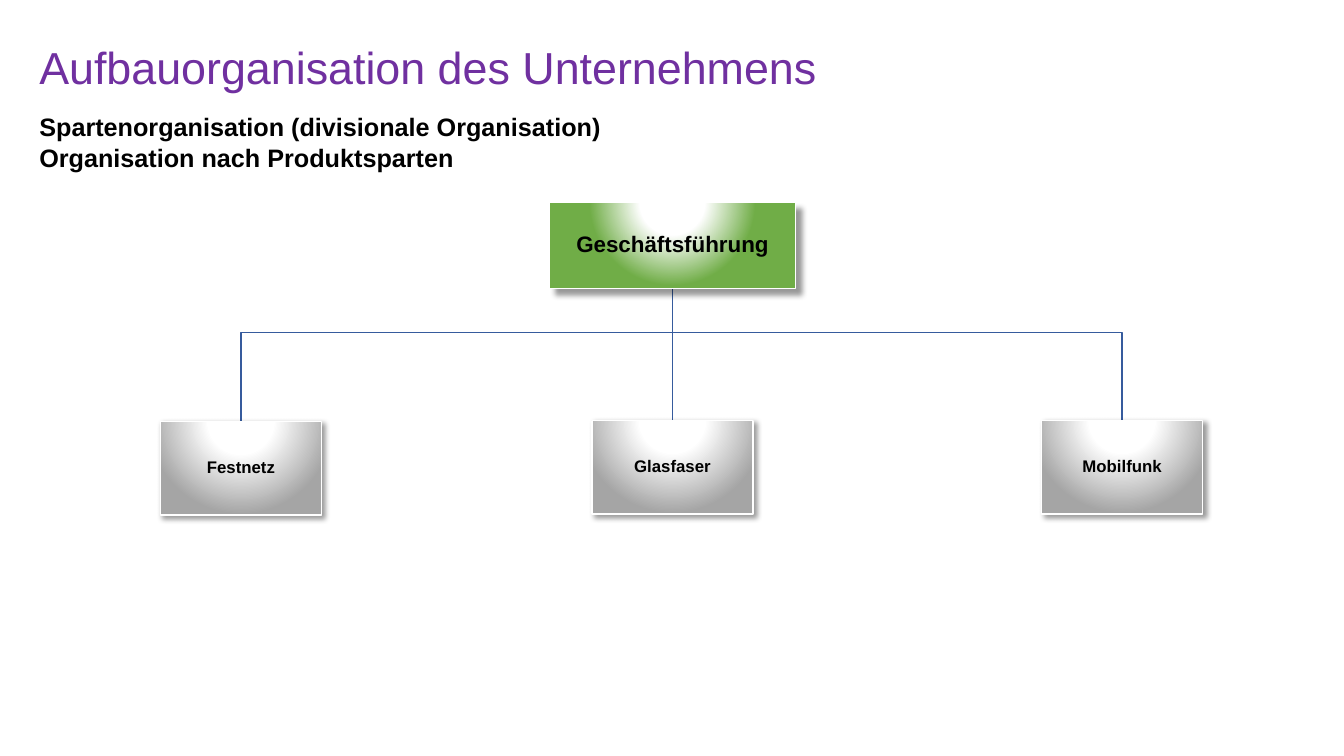
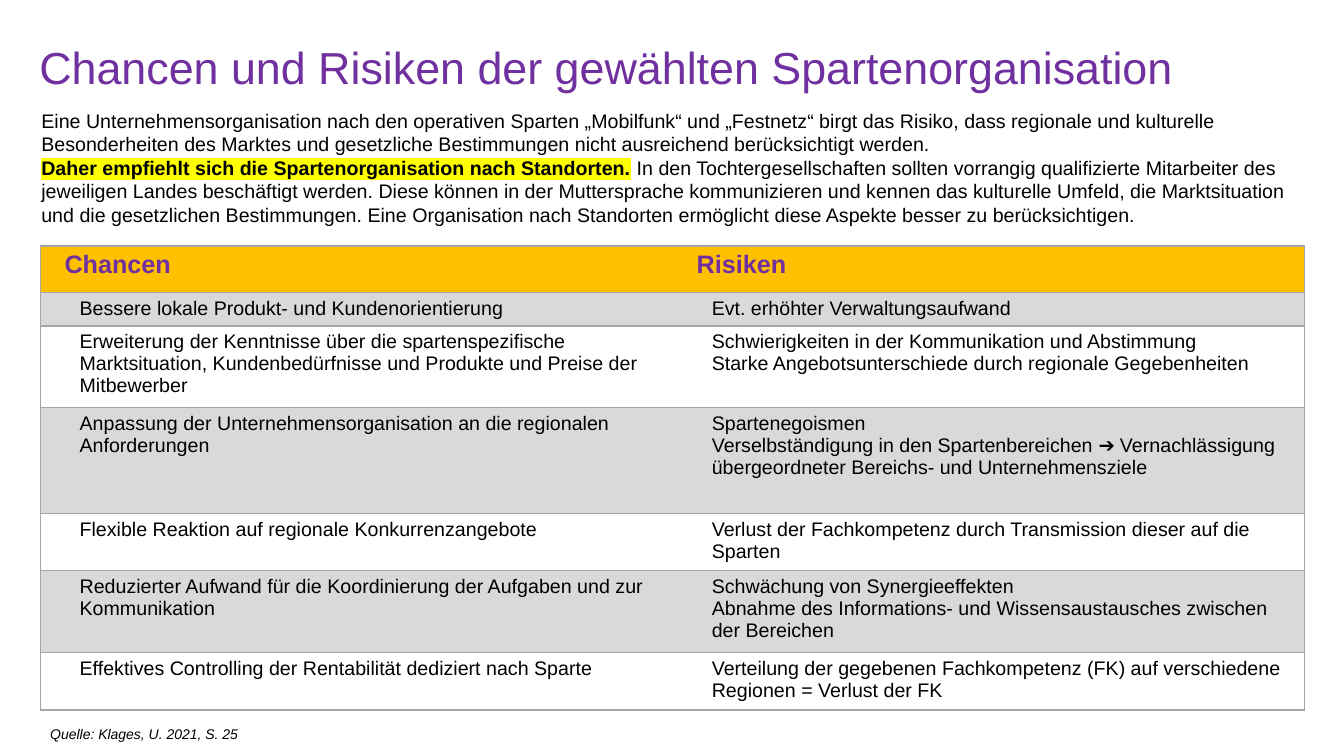
from dataclasses import dataclass

from lxml import etree
from pptx import Presentation
from pptx.dml.color import RGBColor
from pptx.enum.shapes import MSO_CONNECTOR, MSO_SHAPE
from pptx.enum.text import MSO_ANCHOR, PP_ALIGN
from pptx.oxml import parse_xml
from pptx.oxml.ns import nsdecls, qn
from pptx.util import Inches, Pt

STRAIGHT = MSO_CONNECTOR.STRAIGHT
RECTANGLE = MSO_SHAPE.RECTANGLE
TOP, MIDDLE = MSO_ANCHOR.TOP, MSO_ANCHOR.MIDDLE
LEFT, CENTER = PP_ALIGN.LEFT, PP_ALIGN.CENTER


@dataclass(frozen=True)
class Theme:
    """Colours, type sizes and insets shared by the slides."""
    font: str = "Arial"
    title: str = "7030A0"
    text: str = "000000"
    white: str = "FFFFFF"
    line: str = "365B9D"
    head: str = "70AD47"
    division: str = "A5A5A5"
    border: str = "A5A5A5"
    table_head: str = "FFC000"
    band: str = "D9D9D9"
    marker: str = "FFFF00"
    title_size: int = 32
    heading_size: int = 18
    head_size: int = 16
    body_size: int = 14
    division_size: int = 12
    source_size: int = 10
    line_width: int = 1
    page_insets: tuple = (0.39, 0.05, 0.1, 0.05)
    plain_insets: tuple = (0.1, 0.05, 0.1, 0.05)
    header_insets: tuple = (0.24, 0.05, 0.1, 0.05)
    box_insets: tuple = (0.01, 0.01, 0.01, 0.01)


THEME = Theme()

HEAD_STYLE = {"colour": THEME.head, "stops": (25, 64), "distance": 6,
              "size": THEME.head_size}
DIVISION_STYLE = {"colour": THEME.division, "stops": (35, 100), "distance": 3,
                  "size": THEME.division_size}

HEAD_BOX = (5.45, 2.01, 2.44, 0.85)
DIVISION_SIZE = (1.6, 0.93)
BRANCH_Y = 3.3
DIVISIONS = (("Mobilfunk", 10.33, 4.17), ("Glasfaser", 5.87, 4.17),
             ("Festnetz", 1.59, 4.18))

INTRODUCTION = (
    "Eine Unternehmensorganisation nach den operativen Sparten „Mobilfunk“ und "
    "„Festnetz“ birgt das Risiko, dass regionale und kulturelle Besonderheiten "
    "des Marktes und gesetzliche Bestimmungen nicht ausreichend "
    "berücksichtigt werden.")
ADVICE = "Daher empfiehlt sich die Spartenorganisation nach Standorten."
REASONS = (
    " In den Tochtergesellschaften sollten vorrangig qualifizierte Mitarbeiter "
    "des jeweiligen Landes beschäftigt werden. Diese können in der "
    "Muttersprache kommunizieren und kennen das kulturelle Umfeld, die "
    "Marktsituation und die gesetzlichen Bestimmungen. Eine Organisation nach "
    "Standorten ermöglicht diese Aspekte besser zu berücksichtigen.")

# Each row: height, then the paragraphs of the two cells.
TABLE_ROWS = (
    (0.46, ["Chancen"], ["Risiken"]),
    (0.33, ["Bessere lokale Produkt- und Kundenorientierung"],
     ["Evt. erhöhter Verwaltungsaufwand"]),
    (0.81, ["Erweiterung der Kenntnisse über die spartenspezifische "
            "Marktsituation, Kundenbedürfnisse und Produkte und Preise der "
            "Mitbewerber"],
     ["Schwierigkeiten in der Kommunikation und Abstimmung",
      "Starke Angebotsunterschiede durch regionale Gegebenheiten"]),
    (1.05, ["Anpassung der Unternehmensorganisation an die regionalen "
            "Anforderungen"],
     ["Spartenegoismen",
      "Verselbständigung in den Spartenbereichen ➔ Vernachlässigung "
      "übergeordneter Bereichs- und Unternehmensziele"]),
    (0.57, ["Flexible Reaktion auf regionale Konkurrenzangebote"],
     ["Verlust der Fachkompetenz durch Transmission dieser auf die Sparten"]),
    (0.81, ["Reduzierter Aufwand für die Koordinierung der Aufgaben und zur "
            "Kommunikation"],
     ["Schwächung von Synergieeffekten",
      "Abnahme des Informations- und Wissensaustausches zwischen der Bereichen"]),
    (0.57, ["Effektives Controlling der Rentabilität dediziert nach Sparte"],
     ["Verteilung der gegebenen Fachkompetenz (FK) auf verschiedene Regionen "
      "= Verlust der FK"]),
)


def rgb(colour):
    """Turn a hex string into a colour."""
    return RGBColor.from_string(colour)


def set_values(target, values):
    """Set each attribute named in a dict of format values."""
    for name, value in values.items():
        setattr(target, name, value)


def set_insets(target, insets):
    """Set the four margins of a text frame or table cell."""
    sides = ("margin_left", "margin_top", "margin_right", "margin_bottom")
    set_values(target, dict(zip(sides, map(Inches, insets))))


def add_span(para, text, size, colour=THEME.text, marker=None, **font_values):
    """Add a run of text, highlighted if a marker colour is given."""
    span = para.add_run()
    span.text = text
    set_values(span.font, {"name": THEME.font, "size": Pt(size), **font_values})
    span.font.color.rgb = rgb(colour)
    if marker:
        highlight = parse_xml(f'<a:highlight {nsdecls("a")}>'
                              f'<a:srgbClr val="{marker}"/></a:highlight>')
        span.font.fill._xPr.find(qn("a:solidFill")).addnext(highlight)


def fill_text(frame, paragraphs, size, align=LEFT, spacing=1.0, **font_values):
    """Write paragraphs, each a string or a list of (text, format) spans."""
    for index, content in enumerate(paragraphs):
        para = frame.paragraphs[0] if index == 0 else frame.add_paragraph()
        set_values(para, {"alignment": align, "line_spacing": spacing})
        spans = [(content, {})] if isinstance(content, str) else content
        for text, extra in spans:
            add_span(para, text, size, **{**font_values, **extra})


def add_text(page, bounds, paragraphs, size, insets=THEME.page_insets,
             anchor=TOP, **text_values):
    """Add a wrapping text box."""
    frame = page.shapes.add_textbox(*map(Inches, bounds)).text_frame
    set_values(frame, {"word_wrap": True, "vertical_anchor": anchor})
    set_insets(frame, insets)
    fill_text(frame, paragraphs, size, **text_values)


def add_page(deck, title):
    """Add a blank slide with the shared title style."""
    page = deck.slides.add_slide(deck.slide_layouts[6])
    add_text(page, (0, 0.4, 12.94, 0.59), [title], THEME.title_size,
             anchor=MIDDLE, spacing=0.9, colour=THEME.title)
    return page


def set_glow(shape, colour, stops):
    """Fill a shape with a round gradient that is white at the top."""
    steps = ((0, THEME.white), (stops[0], THEME.white), (stops[1], colour))
    marks = "".join(f'<a:gs pos="{place * 1000}"><a:srgbClr val="{tone}"/></a:gs>'
                    for place, tone in steps)
    shape.fill.background()
    properties = shape._element.spPr
    properties.replace(properties.find(qn("a:noFill")), parse_xml(
        f'<a:gradFill {nsdecls("a")} rotWithShape="1"><a:gsLst>{marks}</a:gsLst>'
        '<a:path path="circle"><a:fillToRect l="50000" t="-80000" r="50000" '
        'b="180000"/></a:path></a:gradFill>'))


def set_shadow(shape, distance):
    """Give a shape a soft shadow to the lower right."""
    shape.shadow.inherit = False
    shape._element.spPr.find(qn("a:effectLst")).append(parse_xml(
        f'<a:outerShdw {nsdecls("a")} blurRad="{Pt(4)}" dist="{Pt(distance)}" '
        'dir="2700000" algn="tl" rotWithShape="0"><a:srgbClr val="000000">'
        '<a:alpha val="40000"/></a:srgbClr></a:outerShdw>'))


def set_line(shape, colour):
    """Set the outline of a shape or connector."""
    shape.line.color.rgb = rgb(colour)
    shape.line.width = Pt(THEME.line_width)


def add_unit(page, bounds, label, style):
    """Add one box of the organisation chart."""
    box = page.shapes.add_shape(RECTANGLE, *map(Inches, bounds))
    set_glow(box, style["colour"], style["stops"])
    set_line(box, THEME.white)
    set_shadow(box, style["distance"])
    frame = box.text_frame
    set_values(frame, {"word_wrap": True, "vertical_anchor": MIDDLE})
    set_insets(frame, THEME.box_insets)
    fill_text(frame, [label], style["size"], align=CENTER, spacing=0.9, bold=True)


def add_branch(page, start, end):
    """Join two points, straight down or by way of the branch level."""
    (left, top), (right, bottom) = start, end
    if abs(right - left) < 0.01:
        branch = page.shapes.add_connector(
            STRAIGHT, *map(Inches, (left, top, left, bottom)))
        etree.SubElement(branch._element.spPr, qn("a:effectLst"))
    else:
        corners = ((left, BRANCH_Y), (right, BRANCH_Y), end)
        builder = page.shapes.build_freeform(Inches(left), Inches(top))
        builder.add_line_segments(
            [(Inches(x), Inches(y)) for x, y in corners], close=False)
        branch = builder.convert_to_shape()
        branch.fill.background()
        branch.shadow.inherit = False
    set_line(branch, THEME.line)


def set_borders(cell, column):
    """Draw row lines and the outer edge, with no line between columns."""
    drawn = {"lnL": column == 0, "lnR": column == 1, "lnT": True, "lnB": True}
    properties = cell._tc.get_or_add_tcPr()
    for place, (side, visible) in enumerate(drawn.items()):
        paint = (f'<a:solidFill><a:srgbClr val="{THEME.border}"/></a:solidFill>'
                 if visible else "<a:noFill/>")
        properties.insert(place, parse_xml(
            f'<a:{side} {nsdecls("a")} w="{Pt(THEME.line_width)}">{paint}</a:{side}>'))


def add_comparison(page, bounds, rows):
    """Add the two-column table with a header and banded rows."""
    table = page.shapes.add_table(len(rows), 2, *map(Inches, bounds)).table
    set_values(table, {"first_row": False, "horz_banding": False})
    header = {"size": THEME.heading_size, "colour": THEME.title, "bold": True}
    body = {"size": THEME.body_size, "bold": False}
    for index, (height, *texts) in enumerate(rows):
        table.rows[index].height = Inches(height)
        band = THEME.band if index % 2 else THEME.white
        for column, paragraphs in enumerate(texts):
            cell = table.cell(index, column)
            cell.fill.solid()
            cell.fill.fore_color.rgb = rgb(band if index else THEME.table_head)
            set_insets(cell, THEME.page_insets if index else THEME.header_insets)
            set_borders(cell, column)
            fill_text(cell.text_frame, paragraphs, **(body if index else header))


def build_organisation(deck):
    """Build the slide with the organisation chart."""
    page = add_page(deck, "Aufbauorganisation des Unternehmens")
    add_text(page, (0, 1.06, 10.42, 0.71),
             ["Spartenorganisation (divisionale Organisation)",
              "Organisation nach Produktsparten"], THEME.heading_size, bold=True)
    left, top, width, height = HEAD_BOX
    start = (left + width / 2, top + height)
    for _, x, y in DIVISIONS:
        add_branch(page, start, (x + DIVISION_SIZE[0] / 2, y))
    add_unit(page, HEAD_BOX, "Geschäftsführung", HEAD_STYLE)
    for label, x, y in reversed(DIVISIONS):
        add_unit(page, (x, y, *DIVISION_SIZE), label, DIVISION_STYLE)


def build_assessment(deck):
    """Build the slide that sets chances against risks."""
    page = add_page(deck, "Chancen und Risiken der gewählten Spartenorganisation")
    advice = [(ADVICE, {"bold": True, "marker": THEME.marker}), (REASONS, {})]
    add_text(page, (0.02, 1.03, 12.94, 1.28), [INTRODUCTION, advice],
             THEME.body_size)
    add_comparison(page, (0.4, 2.44, 12.54, 4.6), TABLE_ROWS)
    add_text(page, (0.4, 7.15, 6.67, 0.27), ["Quelle: Klages, U. 2021, S. 25"],
             THEME.source_size, insets=THEME.plain_insets, italic=True)


def main():
    """Build and save the deck."""
    deck = Presentation()
    set_values(deck, {"slide_width": Inches(13.33), "slide_height": Inches(7.5)})
    build_organisation(deck)
    build_assessment(deck)
    deck.save("out.pptx")


main()
